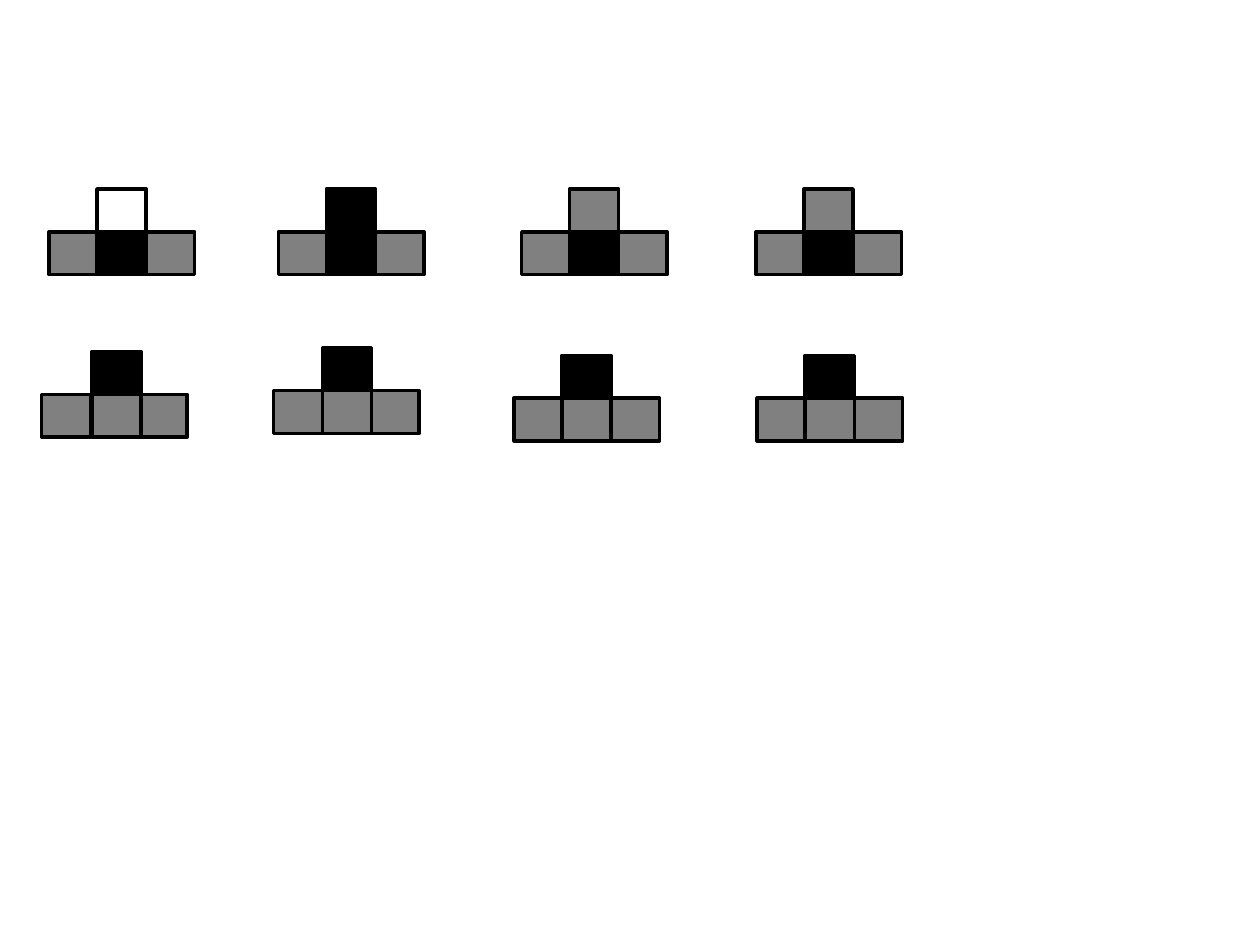
from pptx import Presentation
from pptx import util as u
from pptx.dml.color import RGBColor
from pptx.enum import shapes

GRAY, BLACK, WHITE = "808080", "000000", "FFFFFF"


def color(value):
    return RGBColor.from_string(value)


class Sketch:
    """Holds the cell style and the current slide."""
    cell_width, cell_height = 0.39, 0.34
    side_pitch = 0.765
    line_width = 2

    def __init__(self, slide):
        self.slide = slide

    def cell(self, parent, left, top, fill):
        box = parent.add_shape(shapes.MSO_SHAPE.RECTANGLE, u.Inches(left), u.Inches(top),
                               u.Inches(self.cell_width), u.Inches(self.cell_height))
        box.shadow.inherit = False
        box.fill.solid()
        box.fill.fore_color.rgb = color(fill)
        box.line.color.rgb = color(BLACK)
        box.line.width = u.Pt(self.line_width)

    def stack(self, left, top, middle_offset, upper, middle, grouped=False):
        """Three cells in a row with a fourth above the middle one."""
        parent = self.slide.shapes
        if grouped:
            parent = parent.add_group_shape().shapes
        base = top + self.cell_height
        center = left + middle_offset
        self.cell(parent, left, base, GRAY)
        self.cell(parent, left + self.side_pitch, base, GRAY)
        self.cell(parent, center, top, upper)
        self.cell(parent, center, base, middle)


deck = Presentation()
deck.slide_width, deck.slide_height = u.Inches(10), u.Inches(7.5)
sketch = Sketch(deck.slides.add_slide(deck.slide_layouts[6]))

# Upper row: black middle cell, varying upper cell
for left, upper, grouped in [(0.39, WHITE, False), (2.21, BLACK, False),
                             (4.14, GRAY, True), (6.00, GRAY, True)]:
    sketch.stack(left, 1.5, 0.38, upper, BLACK, grouped)

# Lower row: gray middle cell, black upper cell
for left, top, middle_offset in [(0.33, 2.79, 0.40), (2.17, 2.76, 0.39),
                                 (4.08, 2.82, 0.38), (6.01, 2.82, 0.38)]:
    sketch.stack(left, top, middle_offset, BLACK, GRAY)

deck.save("out.pptx")
